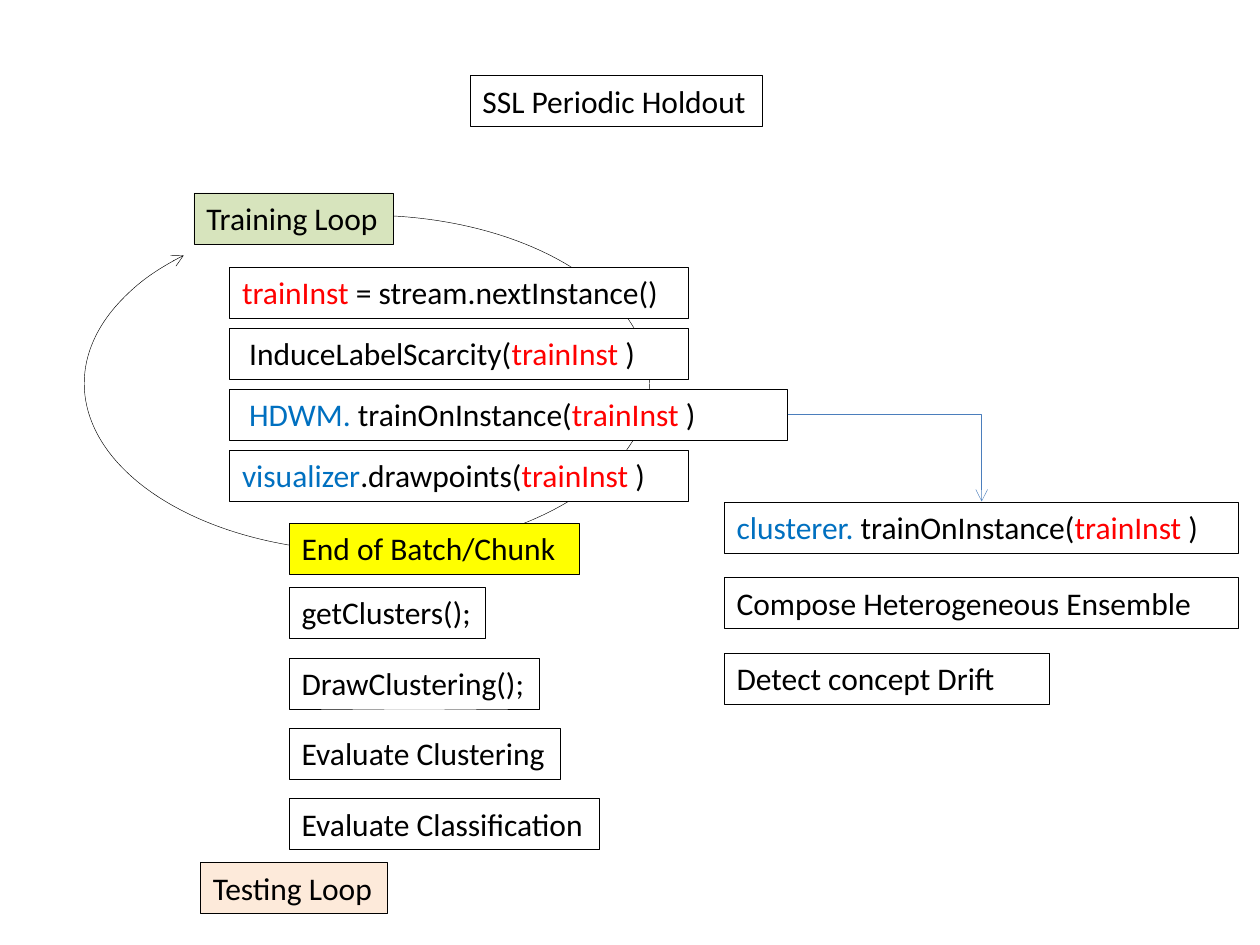
"""Build the SSL periodic holdout flow slide."""
from lxml import etree
from pptx import Presentation
from pptx import util as u
from pptx.dml.color import RGBColor
from pptx.enum import shapes, text
from pptx.oxml.ns import qn

COLOURS = {"ink": "000000", "paper": "FFFFFF", "instance": "FF0000", "object": "0070C0",
           "training": "D7E4BD", "testing": "FDEADA", "batch": "FFFF00", "link": "4B7EBC"}
ROW_HEIGHT = 1.03


class FlowSlide:
    """Hold the style and the current slide."""

    def __init__(self, deck, font="Calibri", size=18, line_width=0.25):
        self.slide = deck.slides.add_slide(deck.slide_layouts[5])
        self.font, self.size, self.line_width = font, size, line_width

    def colour(self, name):
        return RGBColor.from_string(COLOURS[name])

    def outline(self, line, name="ink"):
        line.color.rgb = self.colour(name)
        line.width = u.Pt(self.line_width)

    def arrowhead(self, element):
        properties = element._element.spPr
        outline = properties.find(qn("a:ln"))
        etree.SubElement(outline, qn("a:tailEnd"), type="arrow")
        return properties

    def dress(self, box, runs, fill, wrap, fit):
        box.fill.solid()
        box.fill.fore_color.rgb = self.colour(fill)
        self.outline(box.line)
        frame = box.text_frame
        frame.word_wrap = wrap
        frame.auto_size = fit
        frame.vertical_anchor = text.MSO_ANCHOR.TOP
        paragraph = frame.paragraphs[0]
        paragraph.alignment = text.PP_ALIGN.LEFT
        paragraph.font.name = self.font
        paragraph.font.size = u.Pt(self.size)
        for words, name in runs:
            run = paragraph.add_run()
            run.text = words
            run.font.color.rgb = self.colour(name)

    def title(self, words, left, top, width):
        heading = self.slide.shapes.title
        heading.left, heading.top = u.Cm(left), u.Cm(top)
        heading.width, heading.height = u.Cm(width), u.Cm(ROW_HEIGHT)
        self.dress(heading, [(words, "ink")], "paper", True, text.MSO_AUTO_SIZE.NONE)

    def box(self, runs, left, top, width, fill="paper", wrap=True):
        label = self.slide.shapes.add_textbox(
            u.Cm(left), u.Cm(top), u.Cm(width), u.Cm(ROW_HEIGHT))
        self.dress(label, runs, fill, wrap, text.MSO_AUTO_SIZE.SHAPE_TO_FIT_TEXT)

    def column(self, rows, left, top, pitch, wrap=True):
        for index, (width, runs) in enumerate(rows):
            self.box(runs, left, top + index * pitch, width, wrap=wrap)

    def loop(self, left, top, width, height, start, end):
        arc = self.slide.shapes.add_shape(
            shapes.MSO_SHAPE.ARC, u.Cm(left), u.Cm(top), u.Cm(width), u.Cm(height))
        arc.adjustments[0], arc.adjustments[1] = start, end
        arc.shadow.inherit = False
        arc.fill.background()
        self.outline(arc.line)
        self.arrowhead(arc)

    def elbow(self, x1, y1, x2, y2):
        link = self.slide.shapes.add_connector(
            shapes.MSO_CONNECTOR.ELBOW, u.Cm(x1), u.Cm(y1), u.Cm(x2), u.Cm(y2))
        self.outline(link.line, "link")
        properties = self.arrowhead(link)
        properties.find(qn("a:prstGeom")).set("prst", "bentConnector2")
        etree.SubElement(properties, qn("a:effectLst"))


def main():
    deck = Presentation()
    deck.slide_width, deck.slide_height = u.Cm(25.4), u.Cm(19.05)
    flow = FlowSlide(deck)
    instance, close = ("trainInst", "instance"), (" )", "ink")
    train_call = [("trainOnInstance(", "ink"), instance, close]

    flow.title("SSL Periodic Holdout", 9.47, 1.52, 5.89)
    flow.loop(1.7, 4.34, 11.4, 6.78, 162, 128.97)
    flow.box([("Training Loop", "ink")], 3.91, 3.89, 4.01, "training", wrap=False)
    flow.column([
        (9.25, [instance, (" = stream.nextInstance()", "ink")]),
        (9.25, [(" InduceLabelScarcity(", "ink"), instance, close]),
        (11.25, [(" HDWM. ", "object"), *train_call]),
        (9.25, [("visualizer", "object"), (".drawpoints(", "ink"), instance, close]),
    ], 4.63, 5.38, 1.23)
    flow.box([("End of Batch/Chunk", "ink")], 5.83, 10.55, 5.84, "batch")
    flow.column([
        (3.96, [("getClusters();", "ink")]),
        (5.05, [("DrawClustering();", "ink")]),
        (5.46, [("Evaluate Clustering", "ink")]),
        (6.25, [("Evaluate Classification", "ink")]),
    ], 5.83, 11.84, 1.42, wrap=False)
    flow.box([("Testing Loop", "ink")], 4.04, 17.39, 3.76, "testing", wrap=False)
    flow.elbow(15.88, 8.36, 19.79, 10.11)
    flow.column([
        (10.37, [("clusterer. ", "object"), *train_call]),
        (10.37, [("Compose Heterogeneous Ensemble", "ink")]),
        (6.56, [("Detect concept Drift", "ink")]),
    ], 14.6, 10.12, 1.52)
    deck.save("out.pptx")


if __name__ == "__main__":
    main()
